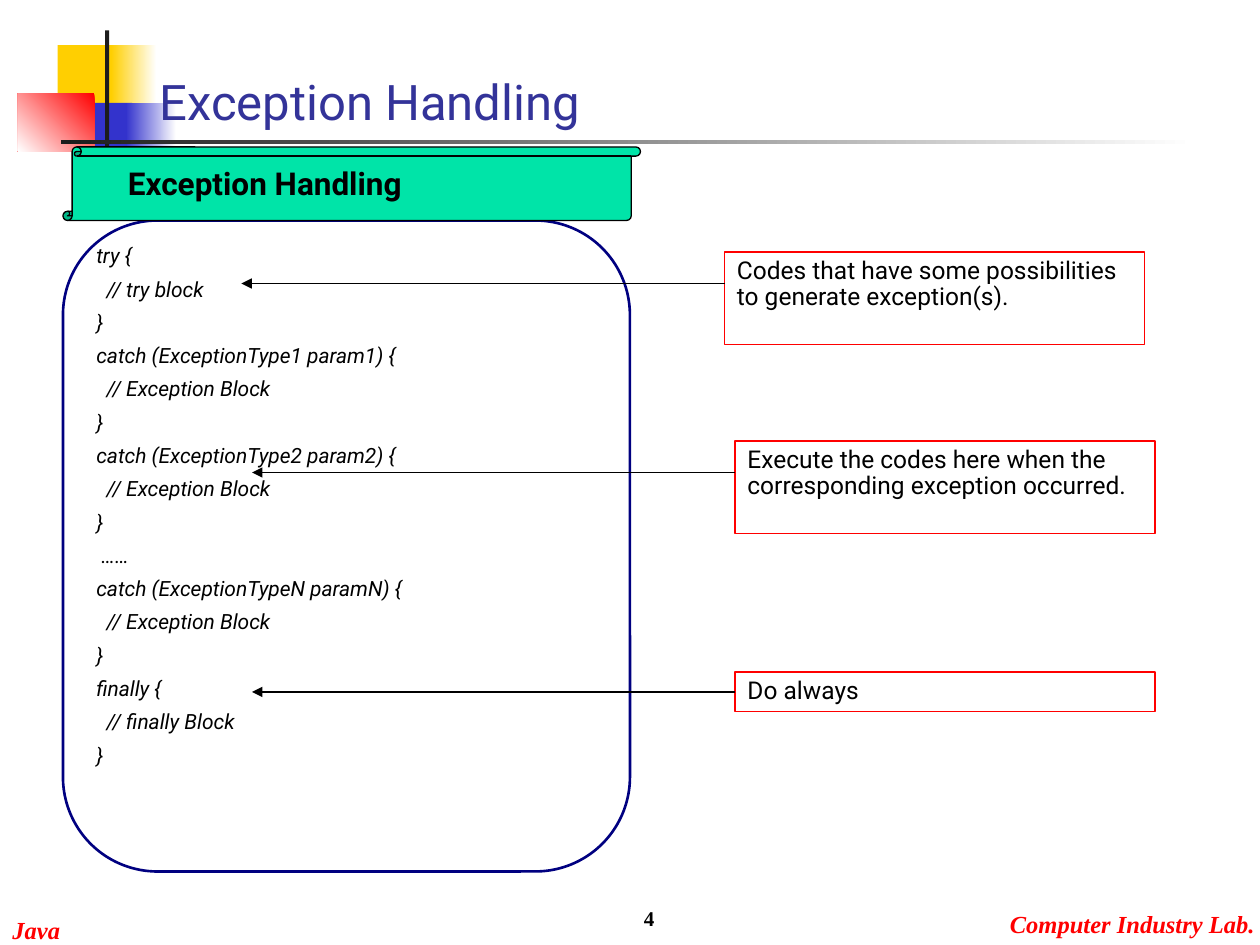
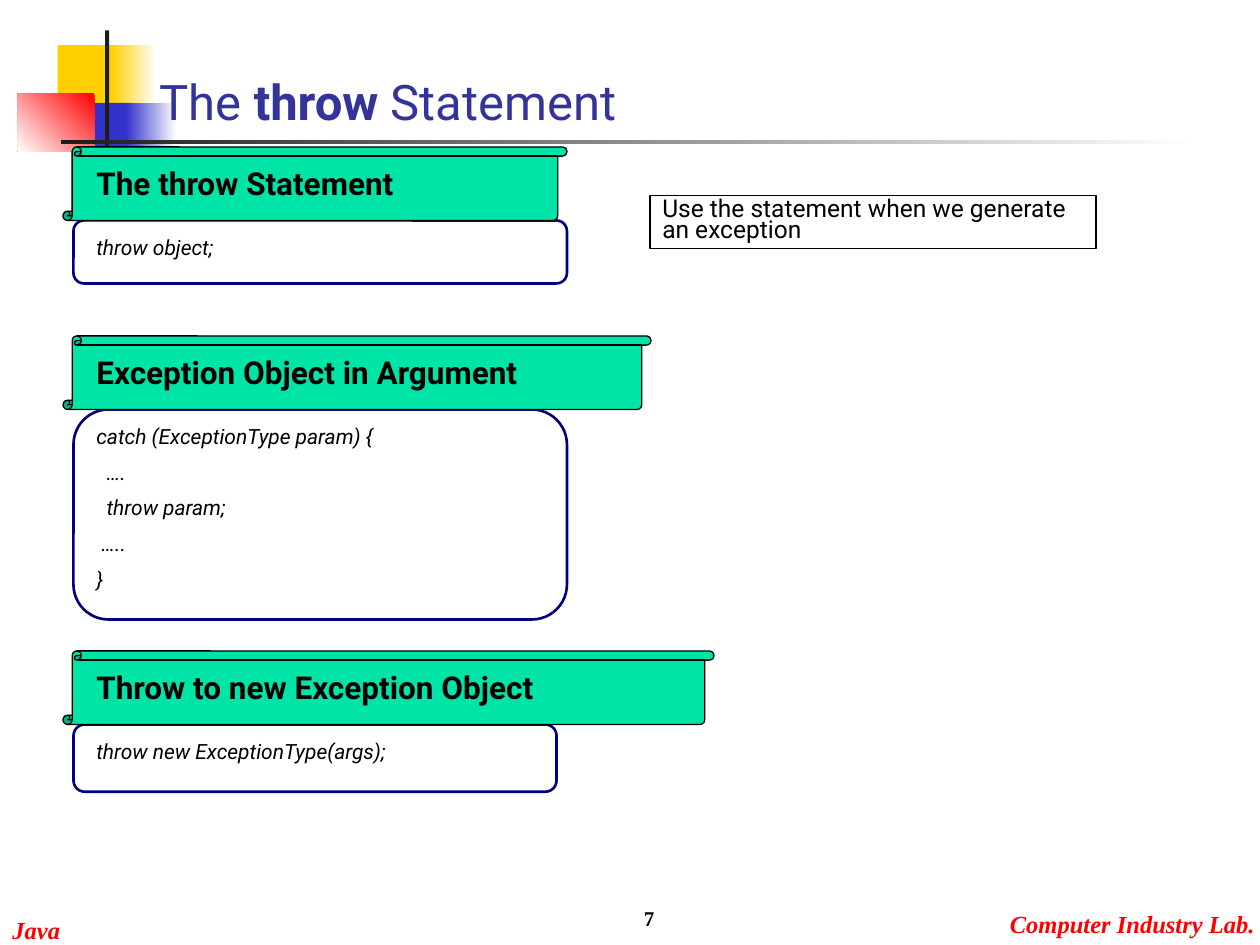
"""Build two Java lecture slides on exception handling and the throw statement."""
import lxml.etree
import pptx
import pptx.dml.color
import pptx.enum.shapes
import pptx.enum.text
import pptx.oxml.ns
import pptx.util

RGB = pptx.dml.color.RGBColor
SHAPE = pptx.enum.shapes.MSO_SHAPE
ANCHOR = pptx.enum.text.MSO_ANCHOR
ALIGN = pptx.enum.text.PP_ALIGN

BLACK = RGB(0x00, 0x00, 0x00)
WHITE = RGB(0xFF, 0xFF, 0xFF)
CHARCOAL = RGB(0x1C, 0x1C, 0x1C)
YELLOW = RGB(0xFF, 0xCF, 0x01)
BLUE = RGB(0x33, 0x33, 0xCC)
RED = RGB(0xFF, 0x00, 0x00)
INDIGO = RGB(0x33, 0x33, 0x99)
NAVY = RGB(0x00, 0x00, 0x80)
GREEN = RGB(0x00, 0xE4, 0xA8)

SANS = "Roboto"
SERIF = "Times New Roman"
COLUMNS, ROWS = 120, 90

ORNAMENTS = [
    ((5.5, 4.3, 5.8, 6.2), YELLOW, None, 0),
    ((10.6, 4.3, 4.3, 6.2), WHITE, YELLOW, 180),
    ((7.1, 9.8, 5.5, 6.2), BLUE, None, 0),
    ((12, 9.8, 4.8, 6.2), WHITE, BLUE, 180),
    ((1.7, 8.9, 7.3, 5.5), RED, WHITE, 225),
    ((10, 2.9, 0.4, 13.8), CHARCOAL, None, 0),
    ((5.8, 13.3, 108, 0.4), WHITE, CHARCOAL, 180),
]

TRY_CATCH = """try {
  // try block
}
catch (ExceptionType1 param1) {
  // Exception Block
}
catch (ExceptionType2 param2) {
  // Exception Block
}
 ……
catch (ExceptionTypeN paramN) {
  // Exception Block
}
finally {
  // finally Block
}"""

RETHROW = """catch (ExceptionType param) {
  ….
  throw param;
 …..
}"""


def write(frame, text, size=14, font=SANS, color=BLACK, bold=False, italic=False,
          align=ALIGN.LEFT, anchor=ANCHOR.TOP, spacing=1.0, before=0, wrap=True):
    """Fill a text frame line by line; text between ** marks is bold."""
    frame.word_wrap = wrap
    frame.auto_size = pptx.enum.text.MSO_AUTO_SIZE.NONE
    frame.vertical_anchor = anchor
    for number, line in enumerate(text.split("\n")):
        paragraph = frame.add_paragraph() if number else frame.paragraphs[0]
        paragraph.alignment = align
        paragraph.line_spacing = spacing
        paragraph.space_before = pptx.util.Pt(before if number else 0)
        for part, words in enumerate(line.split("**")):
            run = paragraph.add_run()
            run.text = words
            run.font.name = font
            run.font.size = pptx.util.Pt(size)
            run.font.color.rgb = color
            run.font.bold = bold or part % 2 == 1
            run.font.italic = italic


class Lecture:
    """Hold the deck style and the current slide, placed on a 120 by 90 grid."""

    def __init__(self):
        self.deck = pptx.Presentation()
        self.deck.slide_width = pptx.util.Inches(10)
        self.deck.slide_height = pptx.util.Inches(7.5)
        self.slide = None

    def x(self, column):
        """Return the distance of a column from the left."""
        return round(self.deck.slide_width * column / COLUMNS)

    def y(self, row):
        """Return the distance of a row from the top."""
        return round(self.deck.slide_height * row / ROWS)

    def area(self, column, row, columns, rows):
        """Turn grid cells into left, top, width and height."""
        return self.x(column), self.y(row), self.x(columns), self.y(rows)

    def shape(self, kind, cells, fill=None, blend=None, angle=0, line=None, weight=0.75):
        """Add a preset shape with a plain, blended or empty fill."""
        shape = self.slide.shapes.add_shape(kind, *self.area(*cells))
        shape.shadow.inherit = False
        if blend is not None:
            shape.fill.gradient()
            shape.fill.gradient_angle = angle
            for stop, color in zip(shape.fill.gradient_stops, (fill, blend)):
                stop.color.rgb = color
        elif fill is not None:
            shape.fill.solid()
            shape.fill.fore_color.rgb = fill
        else:
            shape.fill.background()
        if line is None:
            shape.line.fill.background()
        else:
            shape.line.color.rgb = line
            shape.line.width = pptx.util.Pt(weight)
        return shape

    def text(self, cells, words, **style):
        """Add a text box."""
        frame = self.slide.shapes.add_textbox(*self.area(*cells)).text_frame
        write(frame, words, **style)
        return frame

    def start(self, heading, number):
        """Open a slide with its ornaments, footers, title and number."""
        self.slide = self.deck.slides.add_slide(self.deck.slide_layouts[5])
        for cells, fill, blend, angle in ORNAMENTS:
            self.shape(SHAPE.RECTANGLE, cells, fill, blend, angle)
        for cells, words in (((0, 86.6, 7, 3.4), "Java"),
                             ((95, 86, 25, 4), "Computer Industry Lab.")):
            footer = self.text(cells, words, font=SERIF, color=RED,
                               bold=True, italic=True, wrap=False)
            footer.margin_right = 0
        title = self.slide.shapes.title
        title.element.getparent().append(title.element)
        title.left, title.top, title.width, title.height = self.area(14, 6, 54, 7)
        write(title.text_frame, heading, size=28, color=INDIGO, anchor=ANCHOR.BOTTOM)
        self.text((38.5, 83.2, 25, 6), str(number), size=12, font=SERIF, bold=True,
                  align=ALIGN.RIGHT, anchor=ANCHOR.BOTTOM)

    def section(self, heading, code, row, scroll, panel, indent=8, gap=1, spacing=0.9):
        """Add a scroll heading above a rounded panel of code."""
        column, columns, rows = panel
        top = row + 7
        self.shape(SHAPE.ROUNDED_RECTANGLE, (column, top, columns, rows),
                   line=NAVY, weight=1.5)
        self.text((8, top + gap, 42, rows - 2 * gap), code, size=12, italic=True,
                  spacing=spacing, before=7.5)
        self.shape(SHAPE.VERTICAL_SCROLL, (6, row, scroll, 7), GREEN, line=BLACK)
        self.text((indent, row + 1, scroll + 6 - indent, 5), heading, size=18, bold=True)

    def note(self, cells, words, line=RED, spacing=0.9):
        """Add an outlined remark."""
        box = self.shape(SHAPE.RECTANGLE, cells, line=line)
        write(box.text_frame, words, spacing=spacing)
        return box

    def arrow(self, box, column, row=None):
        """Point from a remark to a column, from its middle unless a row is given."""
        level = box.top + box.height // 2 if row is None else self.y(row)
        arrow = self.slide.shapes.add_connector(
            pptx.enum.shapes.MSO_CONNECTOR.STRAIGHT, box.left, level, self.x(column), level)
        if row is None:
            arrow.begin_connect(box, 1)
        arrow.line.color.rgb = BLACK
        arrow.line.width = pptx.util.Pt(0.75)
        qn = pptx.oxml.ns.qn
        properties = arrow.element.find(qn("p:spPr"))
        lxml.etree.SubElement(properties.find(qn("a:ln")), qn("a:tailEnd"), type="triangle")
        lxml.etree.SubElement(properties, qn("a:effectLst"))


def main():
    """Build and save both slides."""
    lecture = Lecture()

    lecture.start("Exception Handling", 4)
    lecture.section("Exception Handling", TRY_CATCH, 14, 55, (6, 54, 62),
                    indent=11, gap=2, spacing=0.8)
    for cells, words, target, row in (
            ((69, 24, 40, 8.8), "Codes that have some possibilities to generate exception(s).",
             23, 27),
            ((70, 42, 40, 8.8), "Execute the codes here when the corresponding exception occurred.",
             24, 45),
            ((70, 64, 40, 3.8), "Do always", 24, None)):
        lecture.arrow(lecture.note(cells, words), target, row)

    lecture.start("The **throw** Statement", 7)
    lecture.section("The throw Statement", "throw object;", 14, 48, (7, 47, 6))
    lecture.section("Exception Object in Argument", RETHROW, 32, 56, (7, 47, 20))
    lecture.section("Throw to new Exception Object", "throw new ExceptionType(args);",
                    62, 62, (7, 46, 6.4))
    lecture.note((61.9, 18.6, 42.5, 5.1), "Use the statement when we generate an exception",
                 line=BLACK, spacing=0.7)

    lecture.deck.save("out.pptx")


if __name__ == "__main__":
    main()
